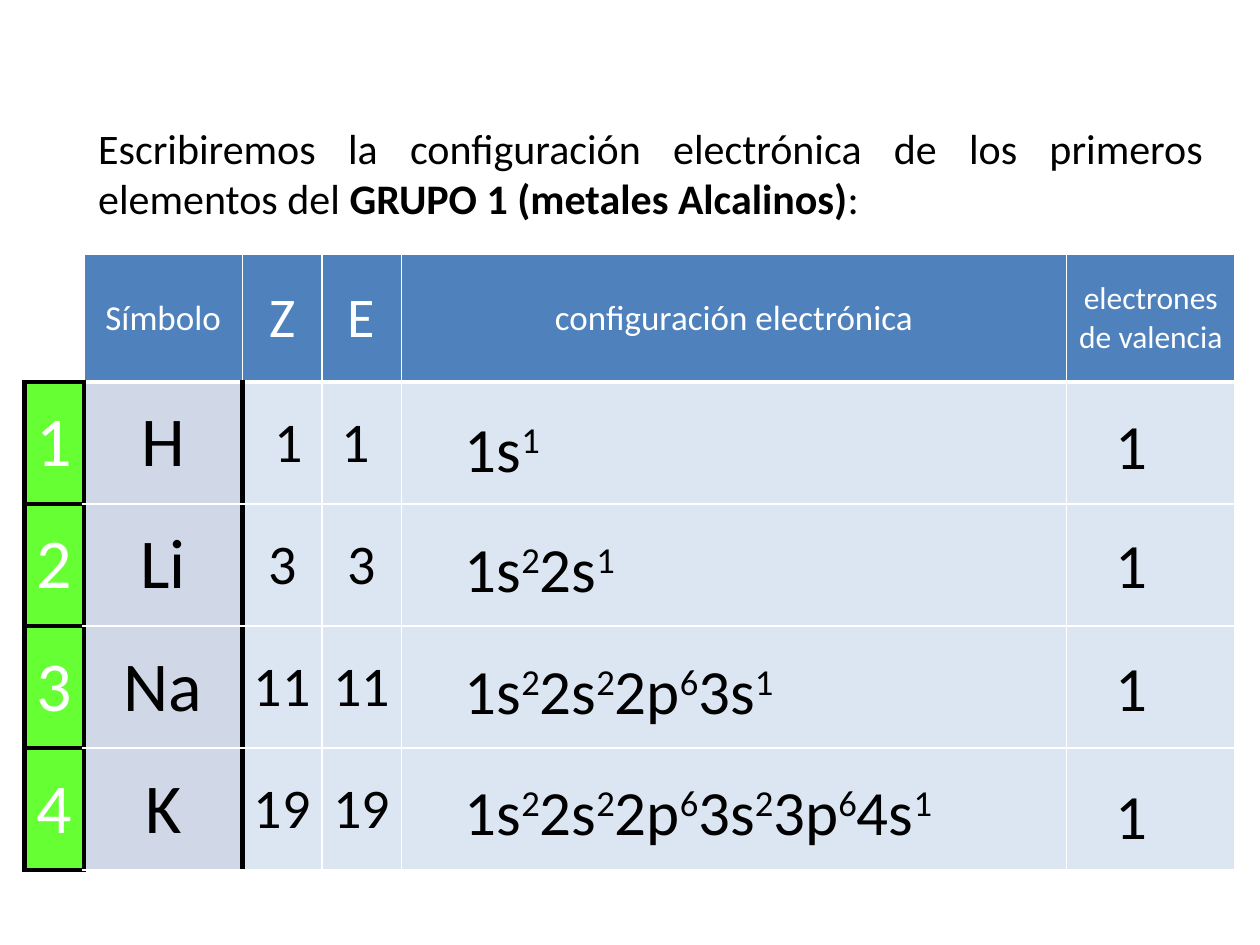
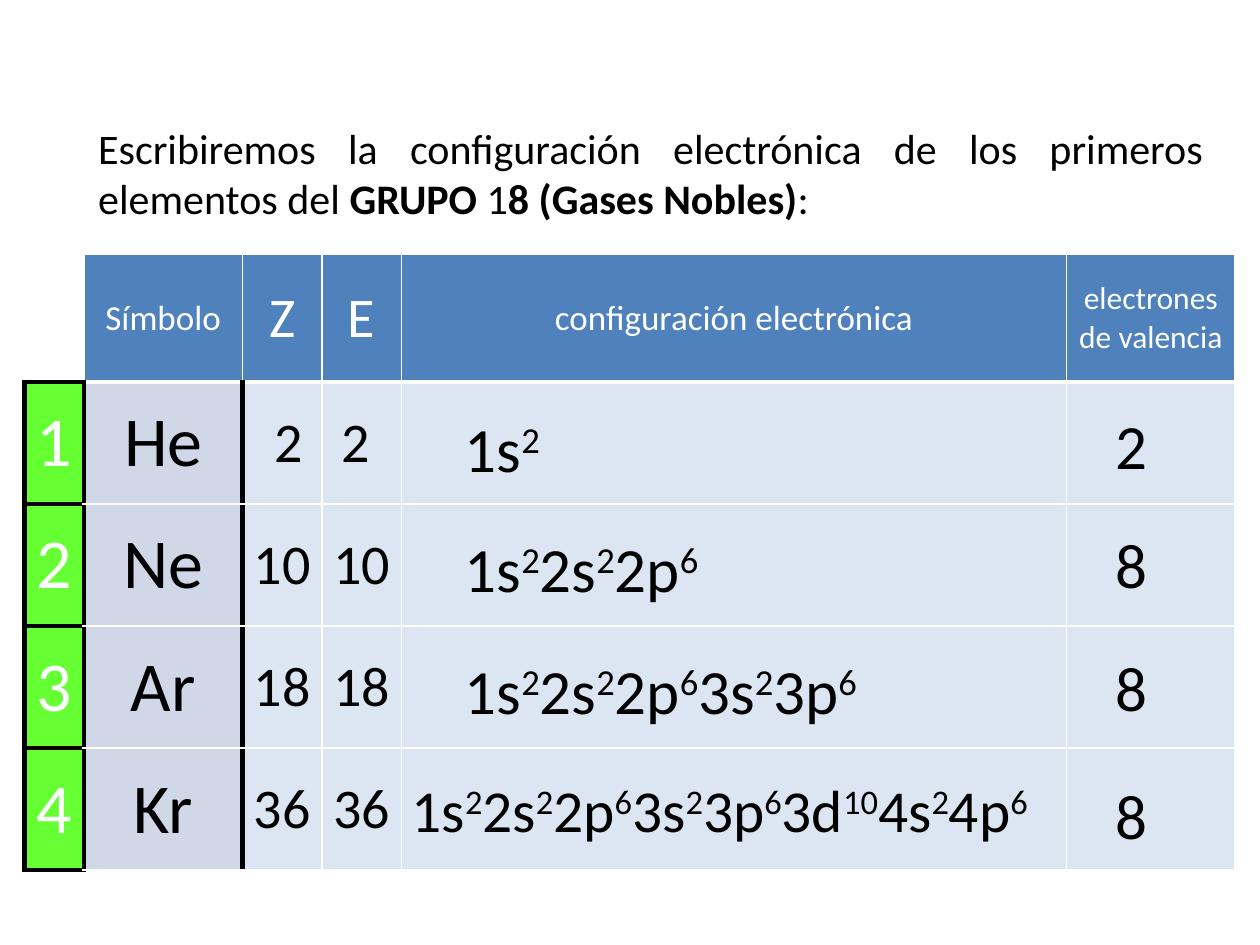
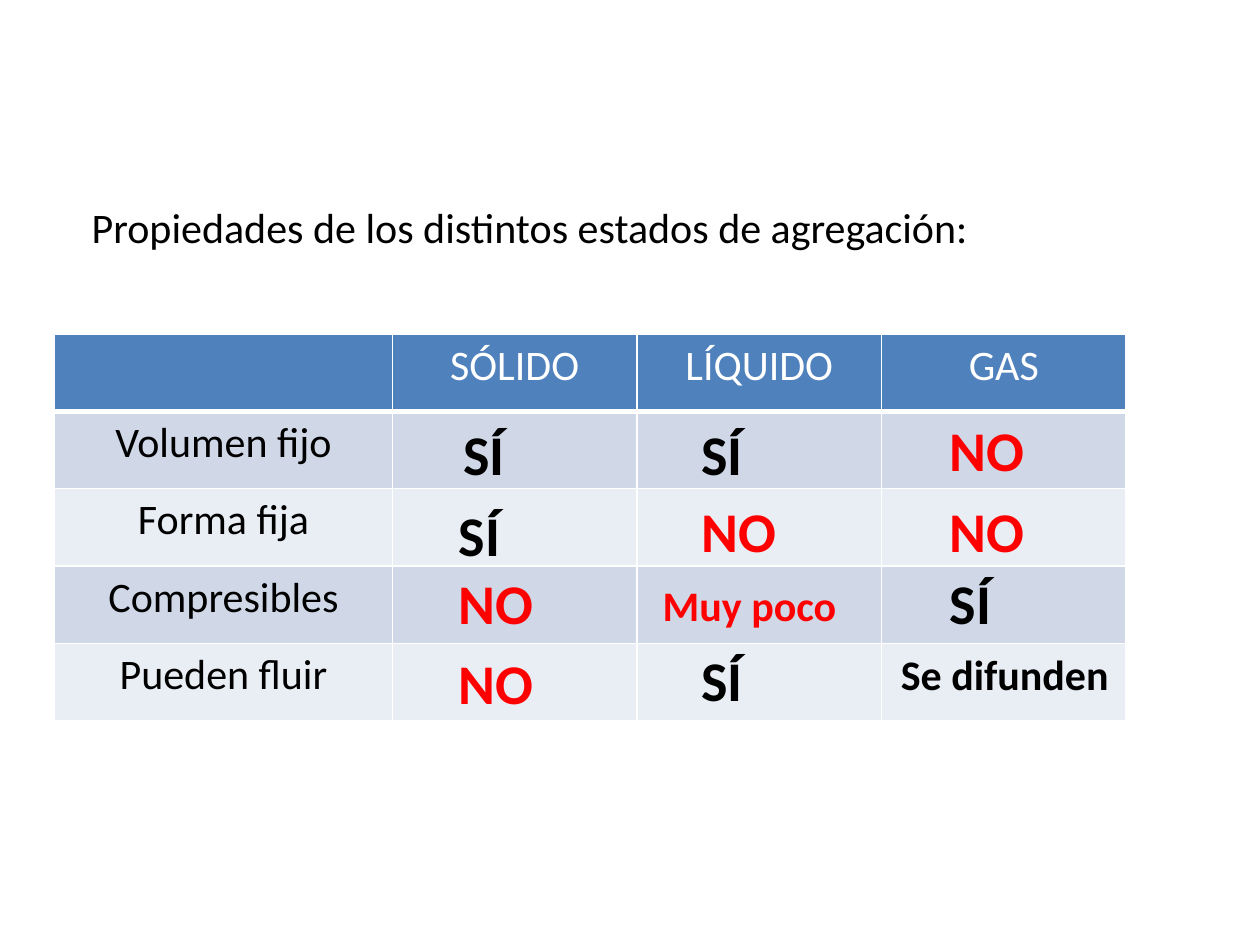
from lxml import etree
from pptx import Presentation
from pptx import util as u
from pptx.dml.color import RGBColor
from pptx.enum import text as t
from pptx.oxml.ns import qn

rgb = RGBColor.from_string
WHITE, BLACK, RED = "FFFFFF", "000000", "FF0000"
BLUE, GREEN = "4F81BD", "66FF33"
BAND, PALE, LIGHT = "D0D8E8", "E9EDF4", "DCE6F2"
THICK = (BLACK, 3)
HEAD = (WHITE, 3)
MID = t.PP_ALIGN.CENTER
FULL = t.PP_ALIGN.JUSTIFY


def write(frame, text, size=24, color=BLACK, align=None, bold=False, mark="bold"):
    """Text between bars is set apart: in bold, or raised when mark is "sup"."""
    para = frame.paragraphs[0]
    para.alignment = align
    for i, part in enumerate(text.split("|")):
        if not part:
            continue
        run = para.add_run()
        run.text = part
        font = run.font
        font.name, font.size = "Calibri", u.Pt(size)
        font.color.rgb = rgb(color)
        font.bold = bold or (i % 2 == 1 and mark == "bold")
        if i % 2 and mark == "sup":
            run._r.get_or_add_rPr().set("baseline", "30000")


def paint(cell, fill, **edges):
    """Fill a cell; edges L, R, T, B are (colour, points), thin white if not given."""
    props = cell._tc.get_or_add_tcPr()
    for side in "LRTB":
        color, width = edges.get(side, (WHITE, 1))
        line = etree.SubElement(props, qn("a:ln" + side), w=str(u.Pt(width)))
        solid = etree.SubElement(line, qn("a:solidFill"))
        etree.SubElement(solid, qn("a:srgbClr"), val=color)
    cell.fill.solid()
    cell.fill.fore_color.rgb = rgb(fill)


deck = Presentation()
deck.slide_width, deck.slide_height = u.Cm(25.4), u.Cm(19.05)
blank = deck.slide_layouts[6]
boxes = []  # slide, left, top, width, height, text, format

# Electron configurations by group
heads = [("", 20), ("Símbolo", 20), ("Z", 32), ("E", 32),
         ("configuración electrónica", 20), ("electrones de valencia", 18)]
wides = [1.19, 3.2, 1.6, 1.6, 13.41, 3.4]
talls = [2.57] + [2.46] * 4
shell_tops = [8.13, 10.54, 13, 15.45]
count_tops = [8.08, 10.46, 12.95, 15.52]

# symbol, Z, E, configuration, valence electrons
groups = [
    ("GRUPO 1 (metales Alcalinos)", [
        ("H", " 1", "1 ", "1s|1", "1"),
        ("Li", "3", "3", "1s|2|2s|1", "1"),
        ("Na", "11", "11", "1s|2|2s|2|2p|6|3s|1", "1"),
        ("K", "19", "19", "1s|2|2s|2|2p|6|3s|2|3p|6|4s|1", "1")]),
    ("GRUPO |1|8 (Gases Nobles)", [
        ("He", " 2", "2 ", "1s|2", "2"),
        ("Ne", "10", "10", "1s|2|2s|2|2p|6", "8"),
        ("Ar", "18", "18", "1s|2|2s|2|2p|6|3s|2|3p|6", "8"),
        ("Kr", "36", "36", "1s|2|2s|2|2p|6|3s|2|3p|6|3d|10|4s|2|4p|6", "8")]),
]

for name, atoms in groups:
    slide = deck.slides.add_slide(blank)
    intro = ("Escribiremos la configuración electrónica de los primeros "
             f"elementos del |{name}|:")
    boxes.append((slide, 1.73, 2.34, 22.78, 2.31, intro, dict(align=FULL)))
    table = slide.shapes.add_table(5, 6, u.Cm(0.5), u.Cm(5.13),
                                   u.Cm(sum(wides)), u.Cm(sum(talls))).table
    for col, wide in zip(table.columns, wides):
        col.width = u.Cm(wide)
    for row, tall in zip(table.rows, talls):
        row.height = u.Cm(tall)
    for cell in table.iter_cells():
        cell.margin_left = cell.margin_right = u.Cm(0.18)
        cell.margin_top = cell.margin_bottom = 0
        cell.vertical_anchor = t.MSO_ANCHOR.MIDDLE

    for c, (head, size) in enumerate(heads):
        cell = table.cell(0, c)
        paint(cell, BLUE if c else WHITE, B=HEAD if c else THICK)
        write(cell.text_frame, head, size=size, color=WHITE, align=MID)

    for r, (sign, z, e, shells, count) in enumerate(atoms):
        looks = [
            (str(r + 1), 40, WHITE, GREEN, dict.fromkeys("LRTB", THICK)),
            (sign, 40, BLACK, BAND, dict(L=THICK, R=THICK)),
            (z, 32, BLACK, LIGHT, dict(L=THICK)),
            (e, 32, BLACK, LIGHT, {}),
            ("", 32, BLACK, LIGHT, {}),
            ("", 32, BLACK, LIGHT, {}),
        ]
        for c, (word, size, color, fill, edges) in enumerate(looks):
            cell = table.cell(r + 1, c)
            paint(cell, fill, **edges)
            write(cell.text_frame, word, size=size, color=color, align=MID)
        long = "3d" in shells
        left, wide, size = (8.05, 14.66, 34) if long else (9.12, 11.4, 36)
        boxes.append((slide, left, shell_tops[r], wide, 1.8, shells,
                      dict(size=size, mark="sup")))
        boxes.append((slide, 22.23, count_tops[r], 1.47, 1.8, count, dict(size=36)))

# States of matter
slide = deck.slides.add_slide(blank)
boxes.append((slide, 1.6, 3.94, 21.79, 1.27,
              "Propiedades de los distintos estados de agregación:", dict(align=FULL)))
states = ["", "SÓLIDO", "LÍQUIDO", "GAS"]
traits = ["Volumen fijo", "Forma fija", "Compresibles", "Pueden fluir"]
table = slide.shapes.add_table(5, 4, u.Cm(1.1), u.Cm(6.73),
                               u.Cm(21.6), u.Cm(7.8)).table
for c, col in enumerate(table.columns):
    col.width = u.Cm(4.93 if c else 6.81)
for row in table.rows:
    row.height = u.Cm(1.56)
for c, state in enumerate(states):
    cell = table.cell(0, c)
    paint(cell, BLUE, B=HEAD)
    write(cell.text_frame, state, color=WHITE, align=MID)
for r, trait in enumerate(traits, 1):
    for c in range(4):
        paint(table.cell(r, c), BAND if r % 2 else PALE)
    write(table.cell(r, 0).text_frame, trait, align=MID)

marks = [
    (9.09, 8.33, "SÍ"), (13.89, 8.33, "SÍ"), (18.9, 8.26, "NO"),
    (9, 9.96, "SÍ"), (13.89, 9.88, "NO"), (18.9, 9.88, "NO"),
    (9, 11.33, "NO"), (13.11, 11.56, "Muy poco"), (18.9, 11.33, "SÍ"),
    (9, 12.95, "NO"), (13.89, 12.88, "SÍ"), (17.91, 12.95, "Se difunden"),
]
sizes = {"Muy poco": (5.79, 1.27, 24), "Se difunden": (4.8, 1.27, 24)}
for left, top, word in marks:
    wide, tall, size = sizes.get(word, (2.59, 1.63, 32))
    color = RED if word in ("NO", "Muy poco") else BLACK
    boxes.append((slide, left, top, wide, tall, word,
                  dict(size=size, color=color, bold=True)))

for slide, left, top, wide, tall, words, form in boxes:
    box = slide.shapes.add_textbox(u.Cm(left), u.Cm(top), u.Cm(wide), u.Cm(tall))
    box.text_frame.word_wrap = True
    box.text_frame.auto_size = t.MSO_AUTO_SIZE.SHAPE_TO_FIT_TEXT
    write(box.text_frame, words, **form)

deck.save("out.pptx")
